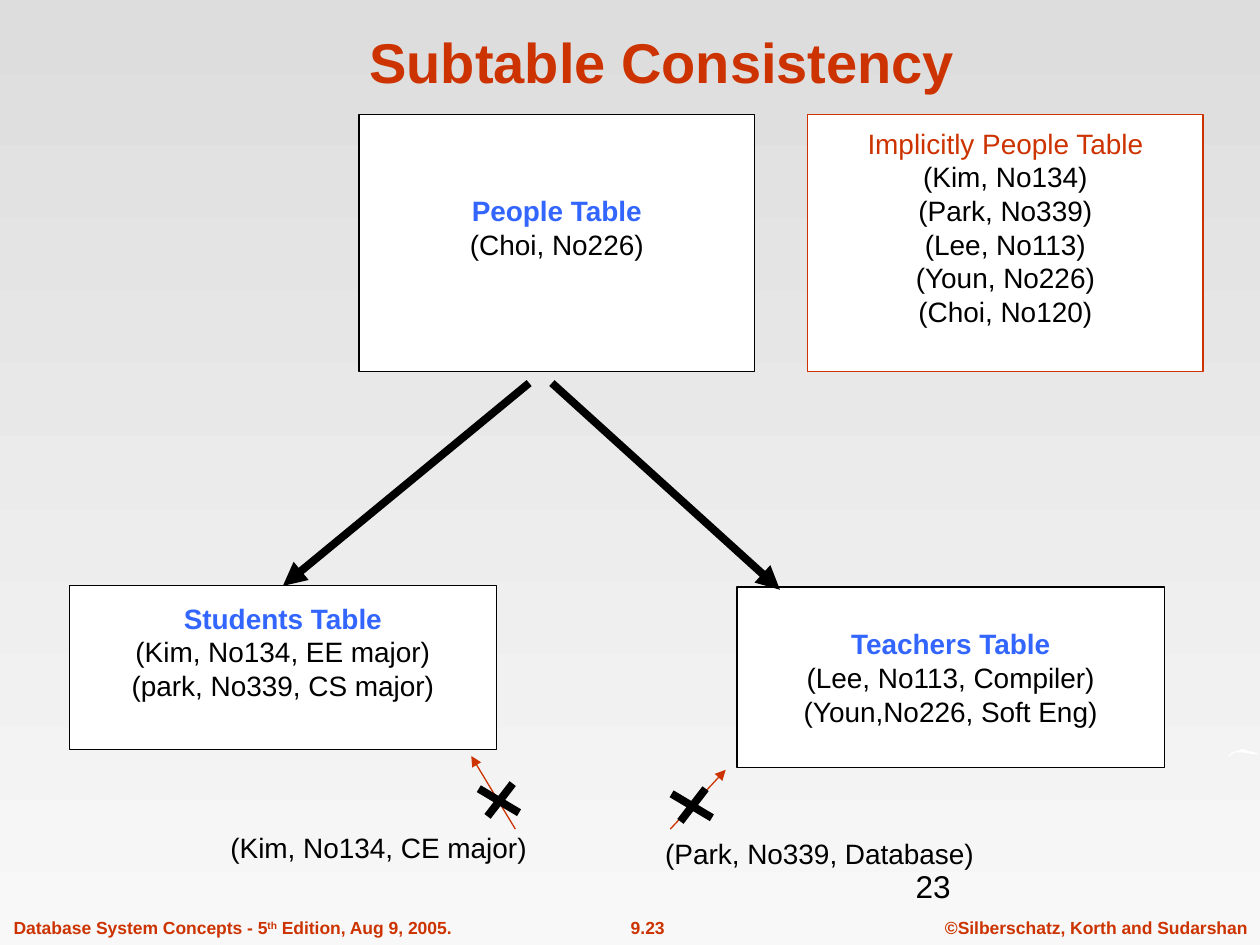
from dataclasses import dataclass

from lxml.etree import SubElement
from pptx import Presentation
from pptx.dml.color import RGBColor
from pptx.enum.shapes import MSO_CONNECTOR, MSO_SHAPE
from pptx.enum.text import MSO_ANCHOR as Anchor, PP_ALIGN as Align
from pptx.oxml.ns import qn
from pptx.util import Pt


@dataclass(frozen=True)
class Theme:
    font: str = "Arial"
    red: str = "CC3300"
    blue: str = "3366FF"
    black: str = "000000"
    white: str = "FFFFFF"
    back_top: str = "DDDDDD"
    back_bottom: str = "F8F8F8"
    title: int = 32
    number: int = 18
    body: int = 16
    footer: int = 10
    thin: float = 0.75
    thick: float = 4.5


T = Theme()
LINE = 18.4  # height of one line of body text


def rgb(color):
    return RGBColor.from_string(color)


def style(p, size, color, bold=False, align=Align.LEFT):
    p.alignment = align
    for r in p.runs:
        f = r.font
        f.name, f.size, f.bold = T.font, Pt(size), bold
        f.color.rgb = rgb(color)


def set_margins(tf, bottom=3.6):
    tf.margin_left = tf.margin_right = Pt(7.2)
    tf.margin_top, tf.margin_bottom = Pt(3.6), Pt(bottom)


def add_background(s):
    fill = s.background.fill
    fill.gradient()
    fill.gradient_angle = 270
    for stop, color in zip(fill.gradient_stops, (T.back_top, T.back_bottom)):
        stop.color.rgb = rgb(color)


def add_title(s, text, box):
    sp = s.shapes.title
    sp.left, sp.top, sp.width, sp.height = map(Pt, box)
    tf = sp.text_frame
    tf.text = text
    tf.vertical_anchor = Anchor.BOTTOM
    set_margins(tf)
    style(tf.paragraphs[0], T.title, T.red, True, Align.CENTER)


def add_text(s, text, box, size=T.body, color=T.black, bold=False,
             align=Align.LEFT, wrap=True):
    tf = s.shapes.add_textbox(*map(Pt, box)).text_frame
    tf.text = text
    tf.word_wrap = wrap
    set_margins(tf)
    style(tf.paragraphs[0], size, color, bold, align)
    return tf.paragraphs[0]


def add_table_box(s, name, rows, box, color=T.blue, line=T.black, bold=True,
                  raised=True):
    """Box with a heading and rows; raised leaves one line free below them."""
    sp = s.shapes.add_shape(MSO_SHAPE.RECTANGLE, *map(Pt, box))
    sp.shadow.inherit = False
    sp.fill.solid()
    sp.fill.fore_color.rgb = rgb(T.white)
    sp.line.color.rgb = rgb(line)
    sp.line.width = Pt(T.thin)
    tf = sp.text_frame
    tf.text = "\n".join([name, *rows])
    tf.word_wrap = False
    tf.vertical_anchor = Anchor.MIDDLE
    set_margins(tf, 3.6 + LINE * raised)
    head, *body = tf.paragraphs
    style(head, T.body, color, bold, Align.CENTER)
    for p in body:
        style(p, T.body, T.black, align=Align.CENTER)
    return sp


def add_line(s, start, end, color=T.black, width=T.thick, arrow=True):
    cx = s.shapes.add_connector(MSO_CONNECTOR.STRAIGHT, *map(Pt, (*start, *end)))
    cx.line.color.rgb = rgb(color)
    cx.line.width = Pt(width)
    if arrow:
        SubElement(cx.line._get_or_add_ln(), qn("a:tailEnd"), type="triangle")
    SubElement(cx._element.spPr, qn("a:effectLst"))
    return cx


def add_cross(s, x, y):
    add_line(s, (x + 19.4, y), (x + 5, y + 18.7), arrow=False)
    add_line(s, (x, y + 2.9), (x + 23, y + 16.6), arrow=False)


def add_sliver(s):
    outline = [(702.7, 430.6), (704.2, 429.6), (707, 428.8), (709.5, 428.5),
               (713, 429), (717, 430), (720, 430.6), (719, 431.3),
               (716, 430.8), (711, 430), (708, 429.9), (705.5, 430.3),
               (703.6, 431.2), (702.5, 432.7)]
    builder = s.shapes.build_freeform(702, 432.5, scale=Pt(1))
    builder.add_line_segments(outline)
    sp = builder.convert_to_shape()
    sp.shadow.inherit = False
    sp.fill.solid()
    sp.fill.fore_color.rgb = rgb(T.white)
    sp.line.fill.background()


def add_footer(s):
    top, height = 520.6, 19.4
    look = dict(size=T.footer, color=T.red, bold=True, wrap=False)
    add_text(s, "©Silberschatz, Korth and Sudarshan",
             (532.8, top, 187.2, height), align=Align.CENTER, **look)
    add_text(s, "9.23", (334.8, top, 70.6, height), align=Align.CENTER, **look)
    p = add_text(s, "Database System Concepts - 5",
                 (0.7, top, 265, height), **look)
    for text in ("th", " Edition, Aug 9, 2005."):
        p.add_run().text = text
    style(p, T.footer, T.red, True)
    p.runs[1].font._element.set("baseline", "30000")


def main():
    prs = Presentation()
    prs.slide_width, prs.slide_height = Pt(720), Pt(540)
    s = prs.slides.add_slide(prs.slide_layouts[5])

    # Background, footer and title
    add_background(s)
    add_footer(s)
    add_sliver(s)
    add_title(s, "Subtable Consistency", (60.5, 9.4, 635.8, 48.2))

    # Tables
    add_table_box(s, "People Table", ["(Choi, No226)"],
                  (205.2, 65.5, 226, 147))
    students = add_table_box(
        s, "Students Table",
        ["(Kim, No134, EE major)", "(park, No339, CS major)"],
        (39.6, 334.8, 244.1, 93.6))
    add_table_box(s, "Teachers Table",
                  ["(Lee, No113, Compiler)", "(Youn,No226, Soft Eng)"],
                  (421.2, 335.5, 244.1, 103), raised=False)
    add_table_box(s, "Implicitly People Table",
                  ["(Kim, No134)", "(Park, No339)", "(Lee, No113)",
                   "(Youn, No226)", "(Choi, No120)"],
                  (461.5, 65.5, 226, 147), color=T.red, line=T.red, bold=False)

    # Arrows from the supertable to its subtables
    add_line(s, (302.4, 218.9), (162.7, 335.5)).end_connect(students, 0)
    add_line(s, (315.4, 218.9), (445.7, 337))

    # Rejected rows
    add_text(s, "(Park, No339, Database)", (373, 474.5, 191.5, 26.6))
    add_text(s, "(Kim, No134, CE major)", (122.4, 470.9, 187.9, 26.6),
             align=Align.CENTER)
    add_line(s, (383, 473.8), (414.7, 439.9), T.red, T.thin)
    add_line(s, (294.5, 473.8), (269.3, 432), T.red, T.thin)
    add_cross(s, 273.6, 447.8)
    add_cross(s, 383.8, 450.7)

    # Slide number
    add_text(s, "23", (516.2, 491.8, 149.8, 36), size=T.number)

    prs.save("out.pptx")


if __name__ == "__main__":
    main()
